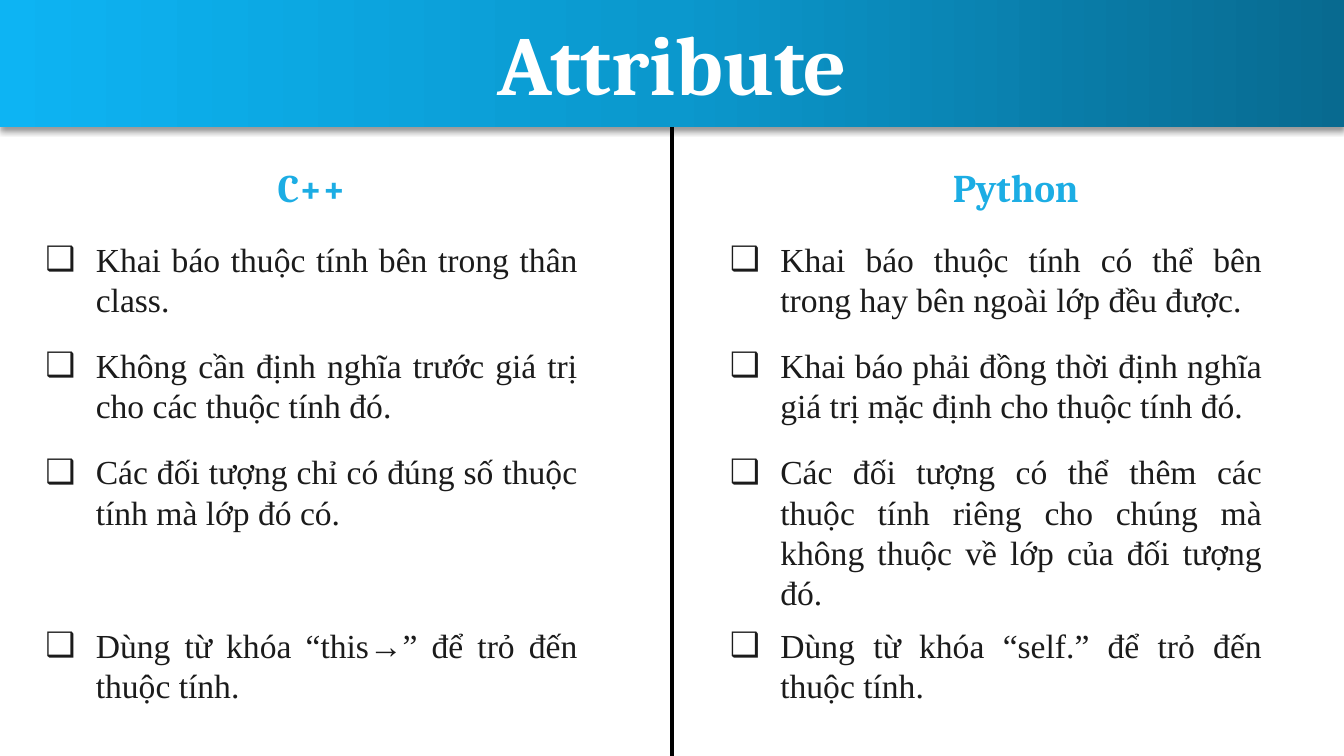
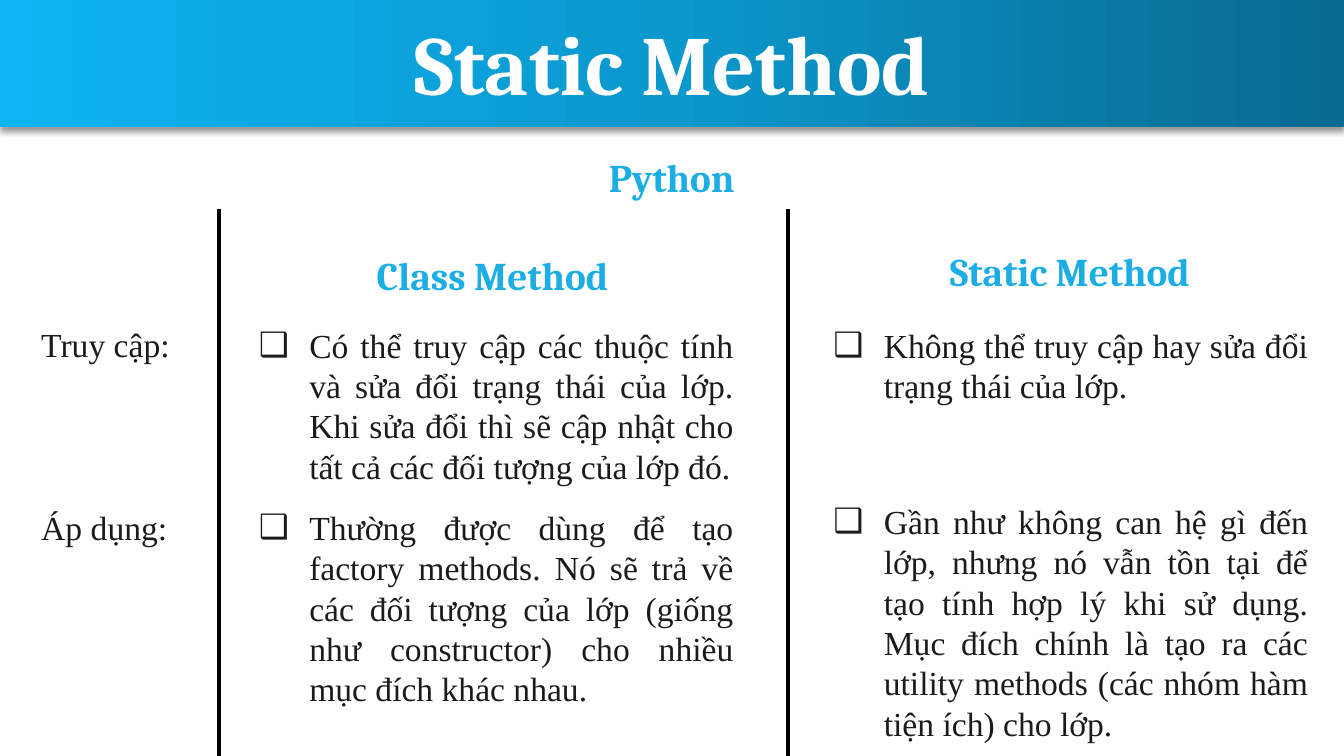
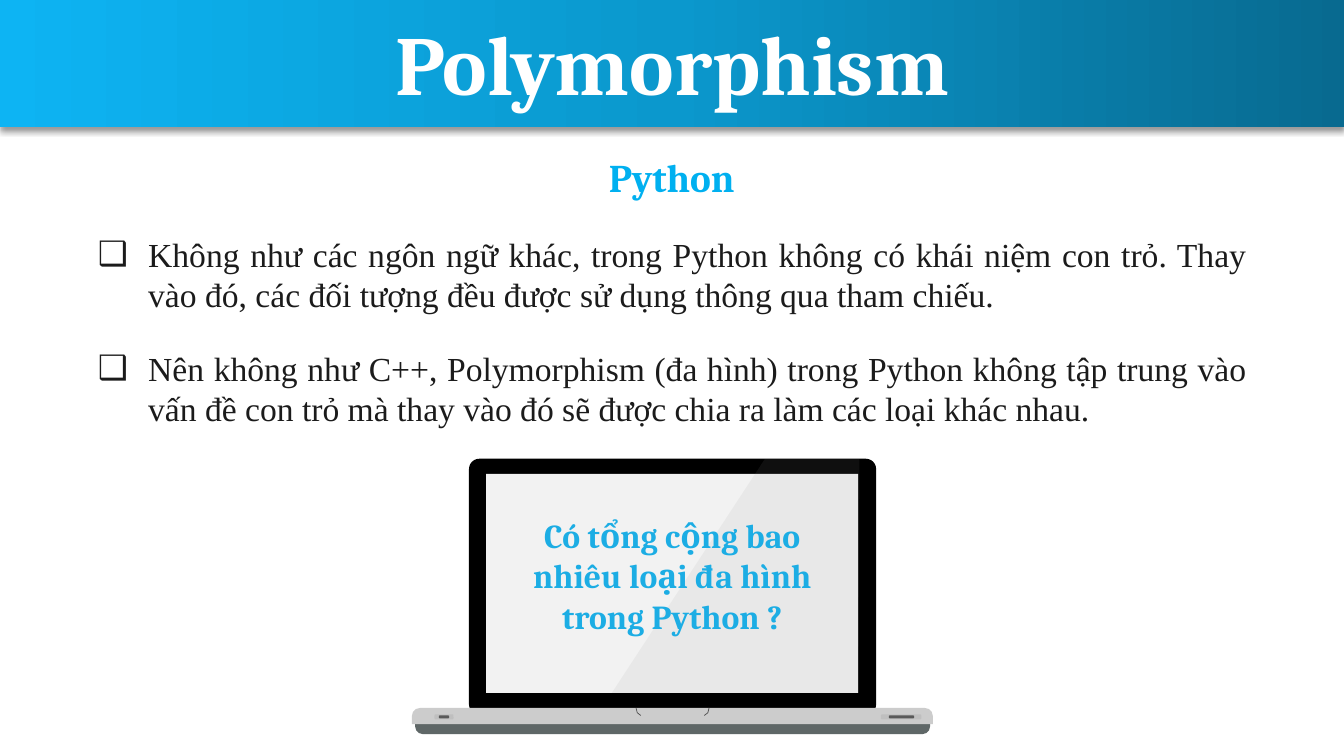
from lxml import etree
from pptx import Presentation
from pptx.dml.color import RGBColor
from pptx.enum import shapes, text
from pptx.oxml import parse_xml
from pptx.oxml.ns import nsdecls, qn
from pptx.util import Cm, Pt

WHITE = RGBColor(0xFF, 0xFF, 0xFF)
BLACK = RGBColor(0, 0, 0)
INK = RGBColor(0x1B, 0x1B, 0x1B)
BLUE = RGBColor(0x1C, 0xAD, 0xE4)
BRIGHT_BLUE = RGBColor(0x00, 0xB0, 0xF0)
SCREEN = RGBColor(0xF2, 0xF2, 0xF2)
BASE = RGBColor(0xCC, 0xCC, 0xCC)
UNDERSIDE = RGBColor(0x5F, 0x67, 0x67)
PORT = RGBColor(0xBF, 0xBF, 0xBF)
SLOT = RGBColor(0x59, 0x59, 0x59)
NOTCH = RGBColor(0x4D, 0x4D, 0x4D)
GLARE = RGBColor(0x99, 0x99, 0x99)
BAND_STOPS = [(0, "0DB4F3"), (50, "0B98CD"), (100, "086A90")]

HEAD_FONT, BODY_FONT = "Cambria", "Times New Roman"
SLIDE_W, SLIDE_H, BAND_H = 33.87, 19.05, 3.2
MIDDLE = 16.93
HEAD_W, HEAD_H = 8.4, 1.45
BODY_SIZE, BODY_LINE = 24, 28.8
INDENT = Cm(1.27)

# Lengths in cm. Heads: text, centre, top, colour. Rules: x, top.
# Lists: left, top, width, height, then items as (space before in pt, text).
SLIDES = [
    {
        "title": "Attribute",
        "layout": "Two Content",
        "heads": [("C++", 7.85, 3.99, BLUE), ("Python", 25.6, 3.99, BLUE)],
        "rules": [(MIDDLE, BAND_H)],
        "lists": [
            ((0.89, 5.89, 13.92, 12.1), [
                (0, "Khai báo thuộc tính bên trong thân class."),
                (18.3, "Không cần định nghĩa trước giá trị cho các thuộc tính đó."),
                (18.3, "Các đối tượng chỉ có đúng số thuộc tính mà lớp đó có."),
                (66.2, "Dùng từ khóa “this→” để trỏ đến thuộc tính."),
            ]),
            ((18.14, 5.89, 13.92, 12.1), [
                (0, "Khai báo thuộc tính có thể bên trong hay bên ngoài lớp đều được."),
                (18.3, "Khai báo phải đồng thời định nghĩa giá trị mặc định cho thuộc tính đó."),
                (18.3, "Các đối tượng có thể thêm các thuộc tính riêng cho chúng mà "
                       "không thuộc về lớp của đối tượng đó."),
                (8.6, "Dùng từ khóa “self.” để trỏ đến thuộc tính."),
            ]),
        ],
    },
    {
        "title": "Static Method",
        "layout": "Two Content",
        "heads": [("Python", MIDDLE, 3.75, BLUE), ("Class Method", 12.41, 6.2, BLUE),
                  ("Static Method", 26.96, 6.1, BLUE)],
        "rules": [(5.51, 5.26), (19.86, 5.26)],
        "lists": [
            ((6.27, 8.05, 12.47, 10.9), [
                (0, "Có thể truy cập các thuộc tính và sửa đổi trạng thái của lớp. "
                    "Khi sửa đổi thì sẽ cập nhật cho tất cả các đối tượng của lớp đó."),
                (15.1, "Thường được dùng để tạo factory methods. Nó sẽ trả về các đối "
                       "tượng của lớp (giống như constructor) cho nhiều mục đích khác nhau."),
            ]),
            ((20.75, 8.05, 12.47, 10.9), [
                (0, "Không thể truy cập hay sửa đổi trạng thái của lớp."),
                (68.4, "Gần như không can hệ gì đến lớp, nhưng nó vẫn tồn tại để tạo tính "
                       "hợp lý khi sử dụng. Mục đích chính là tạo ra các utility methods "
                       "(các nhóm hàm tiện ích) cho lớp."),
            ]),
        ],
        "labels": ((0.79, 8.05, 4.2, 6), [(0, "Truy cập:"), (101.5, "Áp dụng:")]),
    },
    {
        "title": "Polymorphism",
        "layout": "Title and Content",
        "heads": [("Python", MIDDLE, 3.75, BRIGHT_BLUE)],
        "rules": [],
        "lists": [
            ((2.21, 5.77, 29.46, 5.18), [
                (0, "Không như các ngôn ngữ khác, trong Python không có khái niệm con trỏ. "
                    "Thay vào đó, các đối tượng đều được sử dụng thông qua tham chiếu."),
                (23.8, "Nên không như C++, Polymorphism (đa hình) trong Python không tập "
                       "trung vào vấn đề con trỏ mà thay vào đó sẽ được chia ra làm các "
                       "loại khác nhau."),
            ]),
        ],
        "question": "Có tổng cộng bao nhiêu loại đa hình trong Python ?",
    },
]

ROUND = shapes.MSO_SHAPE.ROUNDED_RECTANGLE
ROUND_TOP = shapes.MSO_SHAPE.ROUND_2_SAME_RECTANGLE
# Preset, box, corner, rotation, colour
LAPTOP_PARTS = [
    (ROUND_TOP, (10.46, 18.1, 12.98, 0.4), 0.5, 180, UNDERSIDE),
    (ROUND, (11.82, 11.56, 10.26, 6.45), 0.04, 0, BLACK),
    (shapes.MSO_SHAPE.RECTANGLE, (12.25, 11.94, 9.38, 5.52), None, 0, SCREEN),
    (ROUND_TOP, (10.38, 17.84, 13.13, 0.41), 0.5, 0, BASE),
    (ROUND, (10.95, 18, 0.48, 0.13), 0.28, 0, PORT),
    (ROUND, (11.06, 18.03, 0.26, 0.07), 0.28, 0, SLOT),
    (ROUND, (22.2, 18, 1.02, 0.13), 0.28, 0, PORT),
    (ROUND, (22.4, 18.03, 0.64, 0.07), 0.28, 0, SLOT),
]
GLARE_POINTS = [(19.28, 11.56), (21.66, 11.56), (21.63, 17.46), (15.42, 17.46)]
NOTCH_ENDS = [(16.03, 1), (17.87, -1)]  # x, direction towards the middle


def place(sp, box):
    sp.left, sp.top, sp.width, sp.height = (Cm(v) for v in box)


def set_frame(sp, box):
    """Place a text shape and give it a wrapping, top-anchored frame."""
    place(sp, box)
    tf = sp.text_frame
    tf.word_wrap = True
    tf.auto_size = text.MSO_AUTO_SIZE.NONE
    tf.vertical_anchor = text.MSO_ANCHOR.TOP
    return tf


def add_run(p, words, font, size, color, bold=False):
    r = p.add_run()
    r.text = words
    r.font.name, r.font.size, r.font.bold = font, Pt(size), bold
    r.font.color.rgb = color


def add_title(slide, words):
    """Turn the title placeholder into the shaded band across the top."""
    sp = slide.shapes.title
    tf = set_frame(sp, (0, 0, SLIDE_W, BAND_H))
    tf.margin_top = Cm(0.3)
    p = tf.paragraphs[0]
    p.alignment = text.PP_ALIGN.CENTER
    add_run(p, words, HEAD_FONT, 60, WHITE, True)
    stops = "".join(f'<a:gs pos="{pos * 1000}"><a:srgbClr val="{rgb}"/></a:gs>'
                    for pos, rgb in BAND_STOPS)
    sp_pr = sp.element.spPr
    sp_pr.append(parse_xml(
        f'<a:gradFill {nsdecls("a")} rotWithShape="1"><a:gsLst>{stops}</a:gsLst>'
        '<a:lin ang="0" scaled="0"/></a:gradFill>'))
    sp_pr.append(parse_xml(
        f'<a:effectLst {nsdecls("a")}><a:outerShdw blurRad="50800" dist="38100" '
        'dir="5400000" algn="t" rotWithShape="0"><a:srgbClr val="000000">'
        '<a:alpha val="40000"/></a:srgbClr></a:outerShdw></a:effectLst>'))


def add_head(slide, words, box, size, color):
    tf = set_frame(slide.shapes.add_textbox(0, 0, 0, 0), box)
    p = tf.paragraphs[0]
    p.alignment = text.PP_ALIGN.CENTER
    add_run(p, words, HEAD_FONT, size, color, True)
    return p


def fill_body(sp, box, items, bullet=None):
    tf = set_frame(sp, box)
    for i, (gap, words) in enumerate(items):
        p = tf.add_paragraph() if i else tf.paragraphs[0]
        p.alignment = text.PP_ALIGN.JUSTIFY
        p.line_spacing, p.space_before, p.space_after = Pt(BODY_LINE), Pt(gap), Pt(0)
        if bullet:
            p_pr = p._p.get_or_add_pPr()
            p_pr.set("marL", str(INDENT))
            p_pr.set("indent", str(-INDENT))
            etree.SubElement(p_pr, qn("a:buChar")).set("char", bullet)
        add_run(p, words, BODY_FONT, BODY_SIZE, INK)


def add_rule(slide, x, top):
    line = slide.shapes.add_connector(
        shapes.MSO_CONNECTOR.STRAIGHT, Cm(x), Cm(top), Cm(x), Cm(SLIDE_H))
    line.line.color.rgb, line.line.width = BLACK, Pt(3)
    etree.SubElement(line.element.spPr, qn("a:effectLst"))


def add_outline(parts, points, close):
    pts = [(Cm(x), Cm(y)) for x, y in points]
    builder = parts.build_freeform(*pts[0])
    builder.add_line_segments(pts[1:], close=close)
    sp = builder.convert_to_shape()
    sp.shadow.inherit = False
    return sp


def add_laptop(slide):
    parts = slide.shapes.add_group_shape().shapes
    for preset, box, corner, rotation, color in LAPTOP_PARTS:
        sp = parts.add_shape(preset, *(Cm(v) for v in box))
        if corner is not None:
            sp.adjustments[0] = corner
        sp.rotation = rotation
        sp.shadow.inherit = False
        sp.fill.solid()
        sp.fill.fore_color.rgb = color
        sp.line.fill.background()
    for x, step in NOTCH_ENDS:
        notch = add_outline(
            parts, [(x, 17.84), (x + 0.03 * step, 17.96), (x + 0.12 * step, 18.03)], False)
        notch.fill.background()
        notch.line.color.rgb, notch.line.width = NOTCH, Pt(0.5)
    glare = add_outline(parts, GLARE_POINTS, True)
    glare.fill.solid()
    glare.fill.fore_color.rgb = GLARE
    glare.line.fill.background()
    color = glare.element.spPr.find(f"{qn('a:solidFill')}/{qn('a:srgbClr')}")
    etree.SubElement(color, qn("a:alpha")).set("val", "10000")


def build_slide(prs, data):
    slide = prs.slides.add_slide(prs.slide_layouts.get_by_name(data["layout"]))
    add_title(slide, data["title"])
    for x, top in data["rules"]:
        add_rule(slide, x, top)
    for words, centre, top, color in data["heads"]:
        add_head(slide, words, (centre - HEAD_W / 2, top, HEAD_W, HEAD_H), 28, color)
    for idx, (box, items) in enumerate(data["lists"], start=1):
        fill_body(slide.placeholders[idx], box, items, "❑")
    if "labels" in data:
        fill_body(slide.shapes.add_textbox(0, 0, 0, 0), *data["labels"])
    if "question" in data:
        add_laptop(slide)
        p = add_head(slide, data["question"], (12.75, 12.85, 8.38, 3.33), BODY_SIZE, BLUE)
        p.line_spacing = Pt(BODY_LINE)


def main():
    prs = Presentation()
    prs.slide_width, prs.slide_height = Cm(SLIDE_W), Cm(SLIDE_H)
    for data in SLIDES:
        build_slide(prs, data)
    prs.save("out.pptx")


if __name__ == "__main__":
    main()
